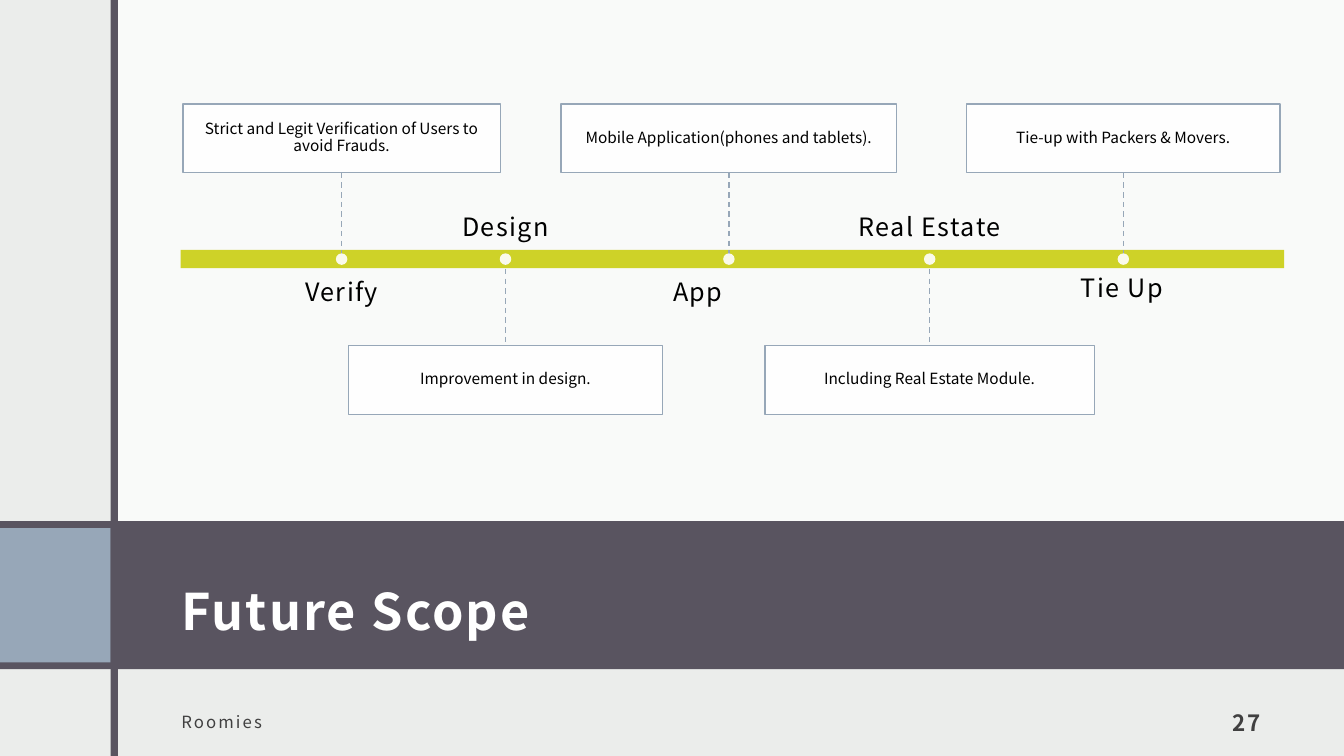
from dataclasses import dataclass

from pptx import Presentation
from pptx.dml.color import RGBColor
from pptx.enum.dml import MSO_LINE
from pptx.enum.shapes import MSO_CONNECTOR, MSO_SHAPE
from pptx.enum.text import MSO_ANCHOR as Anchor, MSO_AUTO_SIZE, PP_ALIGN as Align
from pptx.oxml.ns import qn
from pptx.shapes.autoshape import Shape
from pptx.slide import Slide
from pptx.text.text import TextFrame
from pptx.util import Cm, Pt

FONT = "Noto Sans CJK JP"
PAPER = RGBColor(0xEB, 0xED, 0xEB)
WHITE = RGBColor(0xFF, 0xFF, 0xFF)
BLACK = RGBColor(0x00, 0x00, 0x00)
PLUM = RGBColor(0x59, 0x54, 0x60)
STEEL = RGBColor(0x97, 0xA7, 0xB8)
LIME = RGBColor(0xCE, 0xD2, 0x28)
GRAY = RGBColor(0x40, 0x40, 0x40)

# Lengths in centimetres
SLIDE_W, SLIDE_H = 33.87, 19.05
AXIS_Y = 6.53
AXIS_H = 0.46
CARD_H = 1.73
CARD_TOP_ABOVE, CARD_TOP_BELOW = 2.62, 8.71
LABEL_W, LABEL_H = 7.42, 1.3
LABEL_TOP_ABOVE, LABEL_TOP_BELOW = 4.8, 6.96
DOT = 0.29
FRAME_INSETS = (0.3, 0.3, 0.3, 0.25)


@dataclass(frozen=True)
class Milestone:
    label: str
    detail: str
    x: float
    card_w: float
    card_above: bool
    label_shift: float = 0
    label_spacing: float = 1.0


MILESTONES = [
    Milestone("Verify", "Strict and Legit Verification of Users to avoid Frauds.",
              8.61, 8.0, True),
    Milestone("Design", "Improvement in design.", 12.74, 7.9, False),
    Milestone("App", "Mobile Application(phones and tablets).",
              18.37, 8.46, True, label_shift=-0.78),
    Milestone("Real Estate", "Including Real Estate Module.",
              23.43, 8.3, False, label_spacing=0.9),
    Milestone("Tie Up", "Tie-up with Packers & Movers.",
              28.31, 7.9, True, label_shift=-0.04, label_spacing=0.9),
]


def add_block(slide: Slide, kind: MSO_SHAPE, left: float, top: float, width: float,
              height: float, color: RGBColor, opacity: int = 100) -> Shape:
    block = slide.shapes.add_shape(kind, Cm(left), Cm(top), Cm(width), Cm(height))
    block.shadow.inherit = False
    block.fill.solid()
    block.fill.fore_color.rgb = color
    block.line.fill.background()
    if opacity < 100:
        srgb = block.fill._xPr.find(f".//{qn('a:srgbClr')}")
        alpha = srgb.makeelement(qn("a:alpha"), {"val": str(opacity * 1000)})
        srgb.append(alpha)
    return block


def write(frame: TextFrame, text: str, size: float, color: RGBColor, *,
          align: Align = Align.LEFT, anchor: Anchor = Anchor.MIDDLE,
          insets: tuple[float, ...] = (0, 0, 0, 0), line_spacing: float = 1.0,
          bold: bool = False, tracking: float = 0) -> None:
    frame.word_wrap = True
    frame.auto_size = MSO_AUTO_SIZE.NONE
    frame.vertical_anchor = anchor
    (frame.margin_left, frame.margin_top,
     frame.margin_right, frame.margin_bottom) = map(Cm, insets)
    paragraph = frame.paragraphs[0]
    paragraph.alignment = align
    paragraph.line_spacing = line_spacing
    run = paragraph.add_run()
    run.text = text
    run.font.name = FONT
    run.font.size = Pt(size)
    run.font.bold = bold
    run.font.color.rgb = color
    if tracking:
        run.font._element.set("spc", str(round(tracking * 100)))


def add_text_frame(slide: Slide, left: float, top: float,
                   width: float, height: float) -> TextFrame:
    return slide.shapes.add_textbox(Cm(left), Cm(top), Cm(width), Cm(height)).text_frame


def add_stem(slide: Slide, x: float, start: float, end: float) -> None:
    stem = slide.shapes.add_connector(MSO_CONNECTOR.STRAIGHT,
                                      Cm(x), Cm(start), Cm(x), Cm(end))
    stem.line.color.rgb = STEEL
    stem.line.width = Pt(1)
    stem.line.dash_style = MSO_LINE.DASH
    properties = stem.element.spPr
    properties.append(properties.makeelement(qn("a:effectLst"), {}))


def add_milestone(slide: Slide, item: Milestone) -> None:
    if item.card_above:
        card_top, label_top, label_anchor = CARD_TOP_ABOVE, LABEL_TOP_BELOW, Anchor.TOP
        add_stem(slide, item.x, card_top + CARD_H, AXIS_Y)
    else:
        card_top, label_top, label_anchor = CARD_TOP_BELOW, LABEL_TOP_ABOVE, Anchor.BOTTOM
        add_stem(slide, item.x, AXIS_Y, card_top)

    card = add_block(slide, MSO_SHAPE.RECTANGLE, item.x - item.card_w / 2, card_top,
                     item.card_w, CARD_H, WHITE, opacity=90)
    card.line.color.rgb = STEEL
    card.line.width = Pt(1)
    write(card.text_frame, item.detail, 11, BLACK, align=Align.CENTER,
          insets=(0.4, 0.1, 0.4, 0.1), line_spacing=0.9)

    label = add_text_frame(slide, item.x + item.label_shift - LABEL_W / 2, label_top,
                           LABEL_W, LABEL_H)
    write(label, item.label, 18, BLACK, align=Align.CENTER, anchor=label_anchor,
          line_spacing=item.label_spacing, tracking=1)

    add_block(slide, MSO_SHAPE.OVAL, item.x - DOT / 2, AXIS_Y - DOT / 2,
              DOT, DOT, WHITE, opacity=90)


def main() -> None:
    deck = Presentation()
    deck.slide_width, deck.slide_height = Cm(SLIDE_W), Cm(SLIDE_H)
    slide = deck.slides.add_slide(deck.slide_layouts[5])
    slide.background.fill.solid()
    slide.background.fill.fore_color.rgb = PAPER

    # Backdrop: panel, title band, accent block, vertical rule
    add_block(slide, MSO_SHAPE.RECTANGLE, 2.9, 0, SLIDE_W - 2.9, 13.13, WHITE, opacity=75)
    add_block(slide, MSO_SHAPE.RECTANGLE, 0, 13.13, SLIDE_W, 3.73, PLUM)
    add_block(slide, MSO_SHAPE.RECTANGLE, 0, 13.31, 2.79, 3.38, STEEL)
    add_block(slide, MSO_SHAPE.RECTANGLE, 2.79, 0, 0.18, SLIDE_H, PLUM)

    # Title, brought in front of the band
    title = slide.shapes.title
    title.left, title.top, title.width, title.height = Cm(4.27), Cm(13.54), Cm(27.81), Cm(2.87)
    title.element.getparent().append(title.element)
    write(title.text_frame, "Future Scope", 36, WHITE, insets=FRAME_INSETS,
          line_spacing=1.5, bold=True, tracking=1.5)

    # Footer and page number
    footer = add_text_frame(slide, 4.27, 17.53, 13.74, 1.27)
    write(footer, "Roomies", 12, GRAY, insets=FRAME_INSETS, tracking=1.5)
    page_number = add_text_frame(slide, 29.36, 17.53, 2.72, 1.27)
    write(page_number, "27", 16, GRAY, align=Align.RIGHT, anchor=Anchor.BOTTOM,
          insets=FRAME_INSETS, bold=True, tracking=1.5)

    # Timeline
    add_block(slide, MSO_SHAPE.RECTANGLE, 4.55, AXIS_Y - AXIS_H / 2, 27.81, AXIS_H, LIME)
    for item in MILESTONES:
        add_milestone(slide, item)

    deck.save("out.pptx")


if __name__ == "__main__":
    main()
